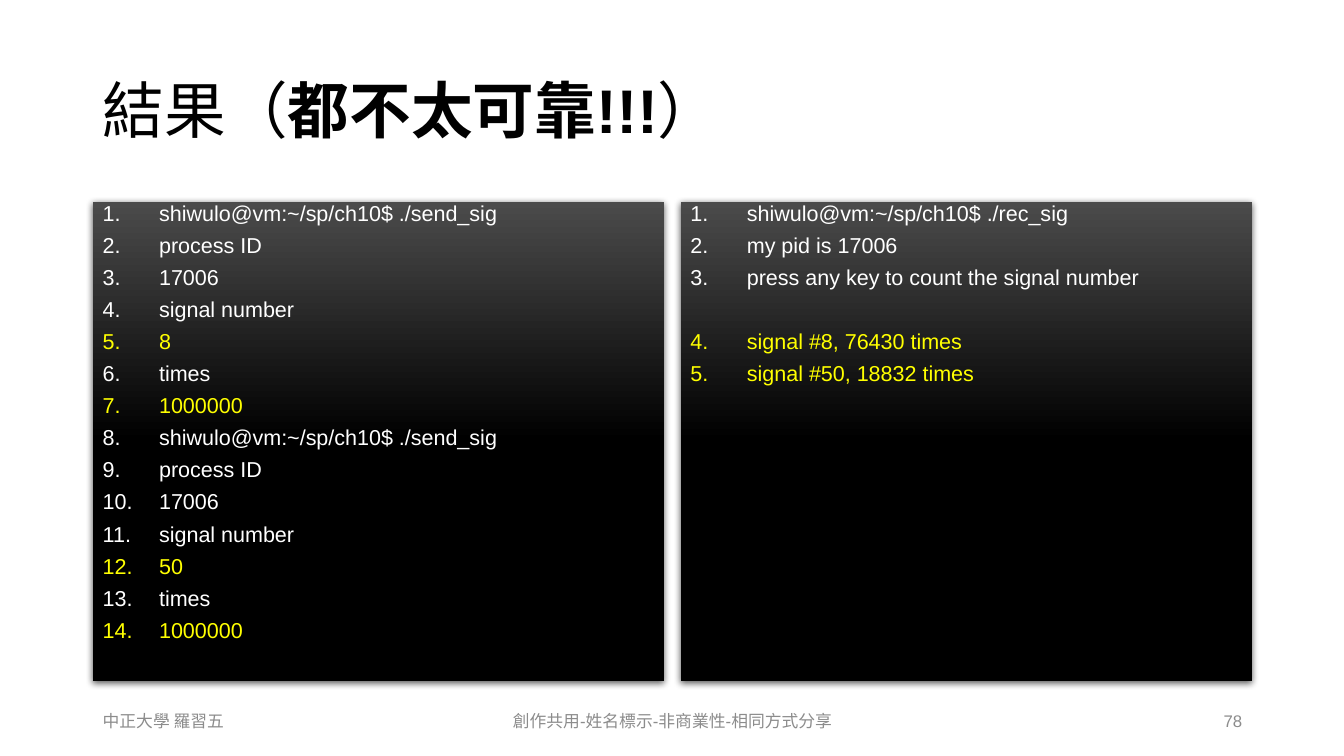
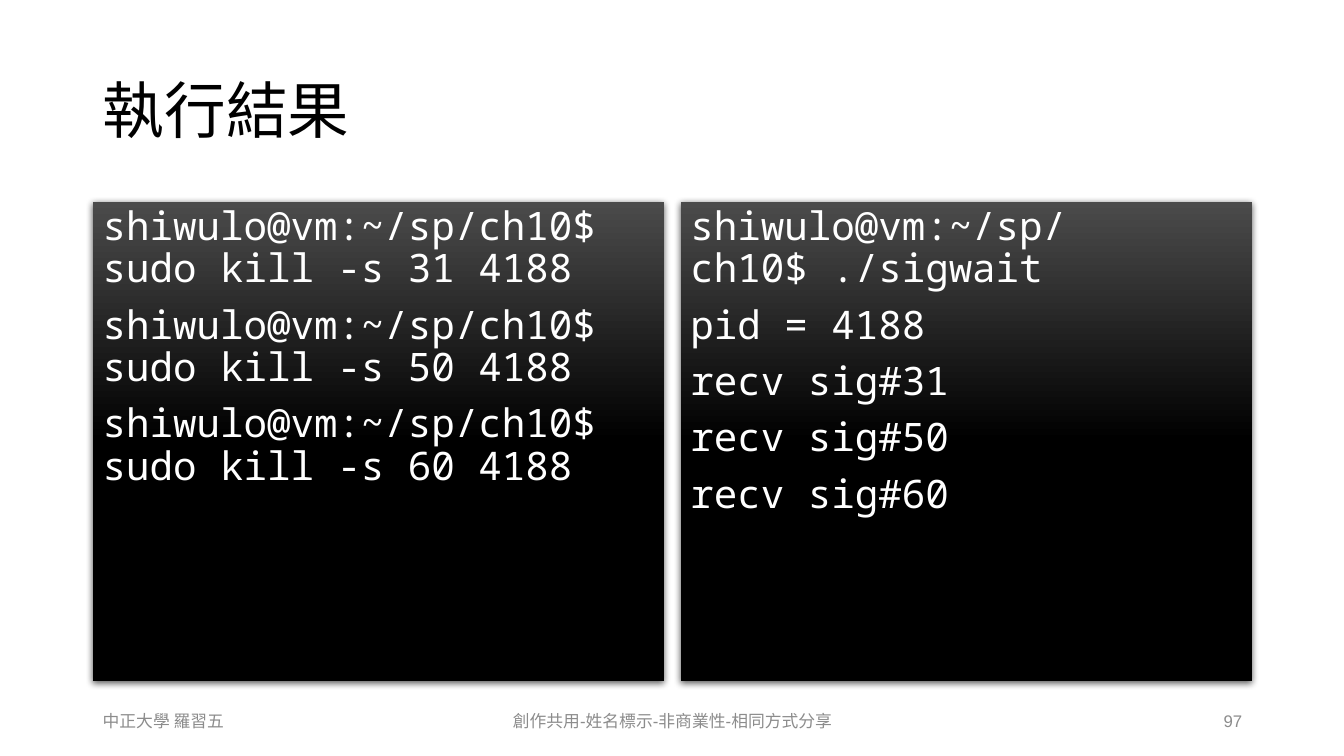
from lxml import etree
from pptx import Presentation
from pptx.dml.color import RGBColor
from pptx.enum.shapes import MSO_SHAPE
from pptx.enum.text import MSO_ANCHOR, MSO_AUTO_SIZE, PP_ALIGN
from pptx.oxml import parse_xml
from pptx.oxml.ns import nsdecls, qn
from pptx.util import Inches, Pt

RECTANGLE = MSO_SHAPE.RECTANGLE
TOP, MIDDLE = MSO_ANCHOR.TOP, MSO_ANCHOR.MIDDLE
NO_AUTOFIT = MSO_AUTO_SIZE.NONE
LEFT, CENTER, RIGHT = PP_ALIGN.LEFT, PP_ALIGN.CENTER, PP_ALIGN.RIGHT

BLACK = RGBColor(0x00, 0x00, 0x00)
CHARCOAL = RGBColor(0x4B, 0x4B, 0x4B)
WHITE = RGBColor(0xFF, 0xFF, 0xFF)
YELLOW = RGBColor(0xFF, 0xFF, 0x00)
GRAY = RGBColor(0x8C, 0x8C, 0x8C)

SANS, MONO = "Arial", "Noto Sans Mono"
MARGIN = 0.92
PANEL_LEFTS = (MARGIN, 6.75)
NUMBER_INDENT = Inches(0.56)
LINE_GAP = Pt(10)
SKIPPED_LINE_GAP = Pt(33)

PANEL_SHADOW = f"""<a:outerShdw {nsdecls('a')} blurRad="57150" dist="19050"
 dir="5400000" algn="ctr" rotWithShape="0"><a:srgbClr val="{BLACK}">
<a:alpha val="63000"/></a:srgbClr></a:outerShdw>"""

# Content: title runs are (text, bold); each panel is a list of lines
SEND_SESSION = ["shiwulo@vm:~/sp/ch10$ ./send_sig", "process ID", "17006", "signal number"]
SLIDES = [
    {
        "title": [("結果（", False), ("都不太可靠!!!", True), ("）", False)],
        "number": "78",
        "font": SANS, "size": 15.4, "spacing": 0.7, "numbered": True,
        "panels": [
            SEND_SESSION + ["8", "times", "1000000"]
            + SEND_SESSION + ["50", "times", "1000000"],
            ["shiwulo@vm:~/sp/ch10$ ./rec_sig", "my pid is 17006",
             "press any key to count the signal number",
             "signal #8, 76430 times", "signal #50, 18832 times"],
        ],
        "highlights": {"8", "50", "1000000",
                       "signal #8, 76430 times", "signal #50, 18832 times"},
        "after_skip": {"signal #8, 76430 times"},
    },
    {
        "title": [("執行結果", False)],
        "number": "97",
        "font": MONO, "size": 28, "spacing": 0.9, "numbered": False,
        "panels": [
            [f"shiwulo@vm:~/sp/ch10$ sudo kill -s {signal} 4188" for signal in (31, 50, 60)],
            ["shiwulo@vm:~/sp/ch10$ ./sigwait", "pid = 4188"]
            + [f"recv sig#{signal}" for signal in (31, 50, 60)],
        ],
        "highlights": set(),
        "after_skip": set(),
    },
]


def set_font(font, name, size, color):
    font.name = name
    font.size = Pt(size)
    font.color.rgb = color


def number_paragraph(paragraph):
    properties = paragraph._p.get_or_add_pPr()
    properties.set("marL", str(NUMBER_INDENT))
    properties.set("indent", str(-NUMBER_INDENT))
    etree.SubElement(properties, qn("a:buFont"), typeface="+mj-lt")
    etree.SubElement(properties, qn("a:buAutoNum"), type="arabicPeriod")


prs = Presentation()
prs.slide_width, prs.slide_height = Inches(13.33), Inches(7.5)
title_only = prs.slide_layouts[5]

for content in SLIDES:
    slide = prs.slides.add_slide(title_only)

    # Title
    title = slide.shapes.title
    title.left, title.top = Inches(MARGIN), Inches(0.4)
    title.width, title.height = Inches(11.5), Inches(1.45)
    title.text_frame.auto_size = NO_AUTOFIT
    title.text_frame.vertical_anchor = MIDDLE
    heading = title.text_frame.paragraphs[0]
    heading.alignment = LEFT
    heading.line_spacing = 0.9
    set_font(heading.font, SANS, 44, BLACK)
    for text, bold in content["title"]:
        run = heading.add_run()
        run.text = text
        run.font.bold = bold

    # Terminal panels
    for left, lines in zip(PANEL_LEFTS, content["panels"]):
        terminal = slide.shapes.add_shape(
            RECTANGLE, Inches(left), Inches(2), Inches(5.67), Inches(4.76))
        terminal.fill.gradient()
        terminal.fill.gradient_angle = 270
        for stop, color, position in zip(
                terminal.fill.gradient_stops, (CHARCOAL, BLACK), (0, 0.5)):
            stop.color.rgb = color
            stop.position = position
        terminal.line.fill.background()
        terminal.shadow.inherit = False
        terminal._element.spPr.find(qn("a:effectLst")).append(parse_xml(PANEL_SHADOW))

        frame = terminal.text_frame
        frame.word_wrap = True
        frame.vertical_anchor = TOP
        for index, line in enumerate(lines):
            paragraph = frame.add_paragraph() if index else frame.paragraphs[0]
            paragraph.text = line
            paragraph.alignment = LEFT
            paragraph.line_spacing = content["spacing"]
            paragraph.space_before = (
                SKIPPED_LINE_GAP if line in content["after_skip"] else LINE_GAP)
            if content["numbered"]:
                number_paragraph(paragraph)
            line_color = YELLOW if line in content["highlights"] else WHITE
            set_font(paragraph.font, content["font"], content["size"], line_color)

    # Footer
    for left, width, text, alignment in (
            (MARGIN, 3, "中正大學 羅習五", LEFT),
            (4.42, 4.5, "創作共用-姓名標示-非商業性-相同方式分享", CENTER),
            (9.42, 3, content["number"], RIGHT)):
        footer = slide.shapes.add_textbox(
            Inches(left), Inches(6.95), Inches(width), Inches(0.4))
        footer.text_frame.word_wrap = True
        footer.text_frame.vertical_anchor = MIDDLE
        paragraph = footer.text_frame.paragraphs[0]
        paragraph.text = text
        paragraph.alignment = alignment
        set_font(paragraph.font, SANS, 12, GRAY)

prs.save("out.pptx")
